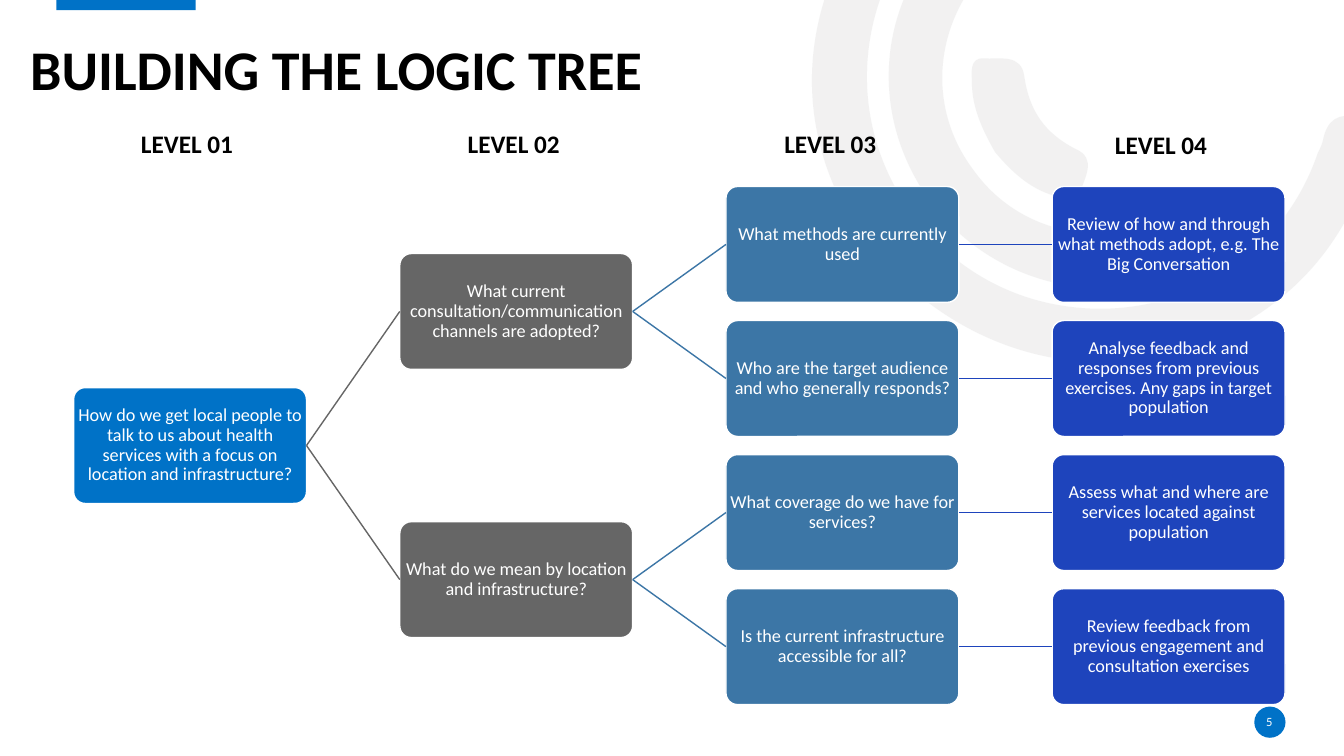
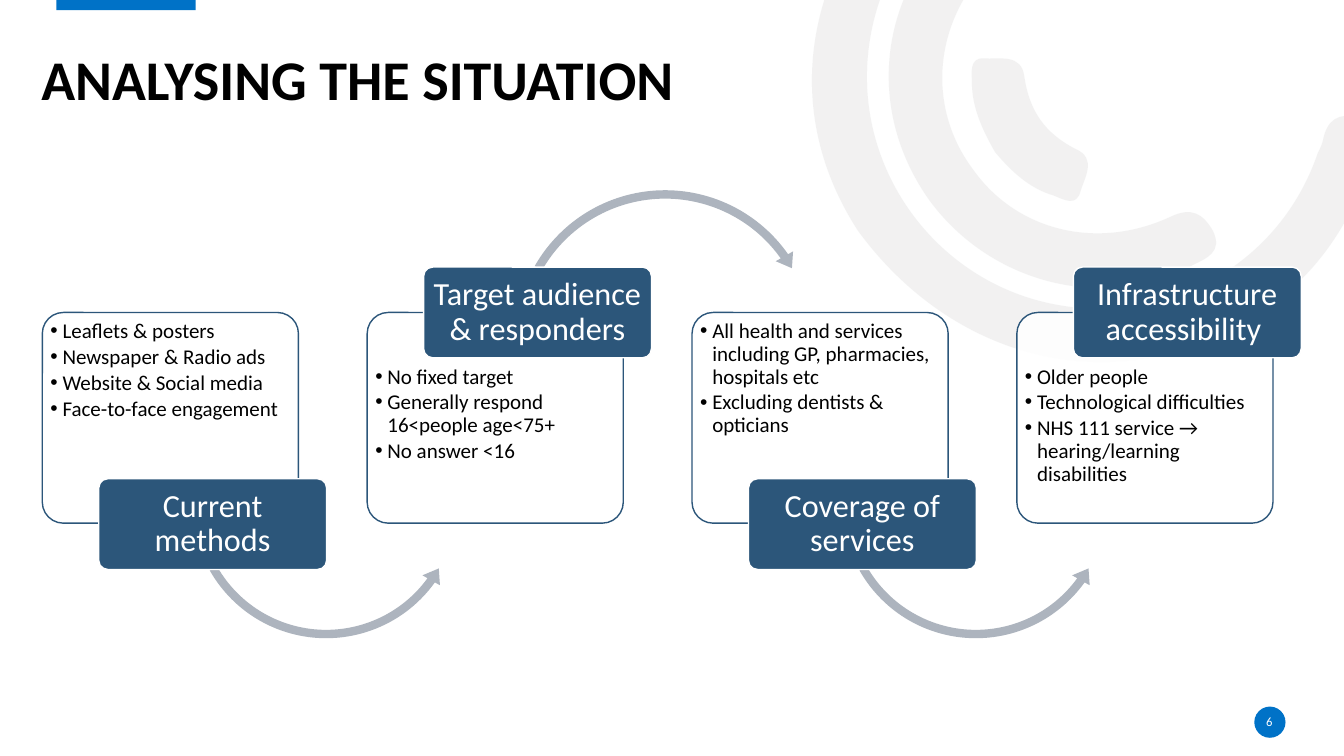
"""Build two slides: a four-level logic tree and a chain of situation cards."""
from dataclasses import dataclass

from lxml import etree
from pptx import Presentation
from pptx.dml.color import RGBColor
from pptx.enum.shapes import MSO_CONNECTOR, MSO_SHAPE
from pptx.enum.text import MSO_ANCHOR, MSO_AUTO_SIZE, PP_ALIGN
from pptx.oxml.ns import qn
from pptx.shapes.autoshape import Shape
from pptx.slide import Slide
from pptx.util import Pt

RECTANGLE, ROUNDED, OVAL = MSO_SHAPE.RECTANGLE, MSO_SHAPE.ROUNDED_RECTANGLE, MSO_SHAPE.OVAL
ARC_OVER, ARC_UNDER = MSO_SHAPE.CIRCULAR_ARROW, MSO_SHAPE.LEFT_CIRCULAR_ARROW
STRAIGHT = MSO_CONNECTOR.STRAIGHT
LEFT, CENTER = PP_ALIGN.LEFT, PP_ALIGN.CENTER
TOP, MIDDLE, BOTTOM = MSO_ANCHOR.TOP, MSO_ANCHOR.MIDDLE, MSO_ANCHOR.BOTTOM
NO_AUTOFIT = MSO_AUTO_SIZE.NONE

EMU_PER_PX = 9144
SLIDE_SIZE = (1333, 750)
FONT = "Calibri"
TITLE_ONLY, COMPARISON = 5, 4
LEFT_SITE, RIGHT_SITE = 1, 3
CORNER = 0.1
FIRST_BACKDROP_ID = 101

COLORS = {
    "white": "FFFFFF",
    "black": "000000",
    "accent": "0072C7",
    "swirl": "E7E6E6",
    "level 2": "666666",
    "level 3": "3C76A6",
    "level 4": "1E44BC",
    "navy": "2C567A",
    "arc": "ADB4BE",
}
LEVEL_COLORS = ("accent", "level 2", "level 3", "level 4")
LEVEL_LABELS = ((78, 122), (402, 122), (716, 122), (1044, 123))

TREE_LEFT, TREE_TOP = 73, 185
COLUMN_STEP, ROW_STEP = 323.5, 133
NODE_SIZE = (231, 115)

CARD_LEFT, CARD_TOP, CARD_STEP = 42, 310, 322.2
CARD_SIZE = (254, 209)
LIST_SIZE = (244, 155)
TAB_SIZE = (226, 90)

SWIRLS = (
    ((851, 229),
     ((799, 149), (787, 50), (838, -50)), ((890, -152), (976, -203), (1090, -207)),
     ((1105, -207), (1121, -210), (1131, -195)), ((1144, -175), (1127, -154), (1098, -154)),
     ((967, -154), (865, -59), (860, 68)), ((856, 181), (936, 281), (1046, 302)),
     ((1160, 324), (1270, 261), (1307, 152)), ((1309, 148), (1311, 144), (1312, 140)),
     ((1316, 119), (1327, 111), (1349, 117)), ((1373, 124), (1367, 141), (1361, 156)),
     ((1334, 245), (1278, 307), (1191, 341)), ((1070, 387), (936, 345), (851, 229))),
    ((922, 199),
     ((862, 115), (869, 7), (940, -68)), ((951, -79), (962, -95), (980, -78)),
     ((995, -64), (997, -50), (979, -32)), ((925, 26), (920, 108), (965, 168)),
     ((1008, 229), (1088, 249), (1161, 215)), ((1182, 205), (1193, 212), (1203, 229)),
     ((1213, 250), (1197, 256), (1183, 263)), ((1096, 310), (983, 282), (922, 199))),
    ((987, 151),
     ((975, 130), (964, 107), (964, 82)), ((964, 73), (961, 57), (976, 58)),
     ((992, 59), (1013, 53), (1016, 76)), ((1021, 110), (1036, 132), (1067, 148)),
     ((1088, 157), (1076, 176), (1072, 189)), ((1068, 206), (1055, 198), (1045, 194)),
     ((1021, 187), (1003, 170), (987, 151))),
)


@dataclass(frozen=True)
class TextStyle:
    """Look of all paragraphs in one box."""
    size: int
    color: str = "white"
    bold: bool = False
    align: PP_ALIGN = CENTER
    anchor: MSO_ANCHOR = MIDDLE
    spacing: float = 0.9
    after: float = 0
    insets: tuple[int, int] = (0, 0)


TITLE = TextStyle(40, "black", True, LEFT, BOTTOM)
LABEL = TextStyle(18, "black", True, anchor=TOP, spacing=1.0, insets=(10, 5))
NODE = TextStyle(13)
TAB = TextStyle(23, insets=(5, 3))
BULLETS = TextStyle(15, "black", align=LEFT, anchor=TOP, after=2.25, insets=(3, 3))
PAGE_NUMBER = TextStyle(9, spacing=1.0)


@dataclass(frozen=True)
class Question:
    """Node of the logic tree with the questions that follow from it."""
    text: str
    follow_ups: tuple["Question", ...] = ()

    @property
    def rows(self) -> int:
        """Number of tree rows the node spans."""
        return sum(child.rows for child in self.follow_ups) or 1


@dataclass(frozen=True)
class Arc:
    """Circular arrow leading from one card to the next."""
    preset: MSO_SHAPE
    offset: int
    top: int
    size: int
    adjustments: tuple[float, ...]


@dataclass(frozen=True)
class Card:
    """Topic card with its findings and an optional arrow to the next one."""
    topic: str
    findings: tuple[str, ...]
    tab_top: int
    list_top: int
    arc: Arc | None = None


UNDER = Arc(ARC_UNDER, 143, 362, 277, (0.03, 3.738, 21.494, 90.245, 0.036))
OVER = Arc(ARC_OVER, 141, 183, 309, (0.027, 3.321, 194.923, 125.755, 0.032))

TREE = Question(
    "How do we get local people to talk to us about health services with a focus on "
    "location and infrastructure?",
    (
        Question("What current consultation/communication channels are adopted?", (
            Question("What methods are currently used", (
                Question("Review of how and through what methods adopt, e.g. The Big Conversation"),)),
            Question("Who are the target audience and who generally responds?", (
                Question("Analyse feedback and responses from previous exercises. "
                         "Any gaps in target population"),)),
        )),
        Question("What do we mean by location and infrastructure?", (
            Question("What coverage do we have for services?", (
                Question("Assess what and where are services located against population"),)),
            Question("Is the current infrastructure accessible for all?", (
                Question("Review feedback from previous engagement and consultation exercises"),)),
        )),
    ),
)

CARDS = (
    Card("Current methods",
         ("Leaflets & posters", "Newspaper & Radio ads", "Website & Social media",
          "Face-to-face engagement"), 475, 315, UNDER),
    Card("Target audience & responders",
         ("No fixed target", "Generally respond 16<people age<75+", "No answer <16"),
         265, 360, OVER),
    Card("Coverage of services",
         ("All health and services including GP, pharmacies, hospitals etc",
          "Excluding dentists & opticians"), 475, 315, UNDER),
    Card("Infrastructure accessibility ",
         ("Older people", "Technological difficulties",
          "NHS 111 service → hearing/learning disabilities"), 265, 360),
)


def px(length: float) -> int:
    """Turn px into EMU."""
    return round(length * EMU_PER_PX)


def rgb(name: str) -> RGBColor:
    """Look up a colour by name."""
    return RGBColor.from_string(COLORS[name])


def place(shape: Shape, left: float, top: float, width: float, height: float) -> None:
    """Move and size a shape in px."""
    shape.left, shape.top, shape.width, shape.height = map(px, (left, top, width, height))


def write(shape: Shape, text: str, style: TextStyle) -> None:
    """Fill a shape with text, one paragraph a line."""
    frame = shape.text_frame
    frame.text = text
    frame.word_wrap = True
    frame.auto_size = NO_AUTOFIT
    frame.vertical_anchor = style.anchor
    frame.margin_left = frame.margin_right = px(style.insets[0])
    frame.margin_top = frame.margin_bottom = px(style.insets[1])
    for paragraph in frame.paragraphs:
        paragraph.alignment = style.align
        paragraph.line_spacing = style.spacing
        paragraph.space_before = Pt(0)
        paragraph.space_after = Pt(style.after)
        font = paragraph.font
        font.name, font.size, font.bold = FONT, Pt(style.size), style.bold
        font.color.rgb = rgb(style.color)


def paint(shape: Shape, fill: str, line: str | None = None, opacity: int = 100) -> None:
    """Set fill, outline and opacity in percent."""
    shape.shadow.inherit = False
    shape.fill.solid()
    shape.fill.fore_color.rgb = rgb(fill)
    if opacity < 100:
        color = next(shape.element.iter(qn("a:srgbClr")))
        etree.SubElement(color, qn("a:alpha")).set("val", str(opacity * 1000))
    if line:
        shape.line.color.rgb = rgb(line)
        shape.line.width = Pt(1)
    else:
        shape.line.fill.background()


def add_preset(slide: Slide, preset: MSO_SHAPE, box: tuple[float, float, float, float],
               fill: str, line: str | None = None, opacity: int = 100) -> Shape:
    """Add a painted preset shape."""
    shape = slide.shapes.add_shape(preset, *map(px, box))
    paint(shape, fill, line, opacity)
    if preset == ROUNDED:
        shape.adjustments[0] = CORNER
    return shape


def add_swirl(slide: Slide, start: tuple[int, int], *curves: tuple) -> Shape:
    """Draw a closed outline from a start point and the control points of cubic curves."""
    builder = slide.shapes.build_freeform(*map(px, start))
    builder.add_line_segments([(px(x), px(y)) for curve in curves for x, y in curve], close=True)
    swirl = builder.convert_to_shape()
    segments = list(swirl.element.iter(qn("a:lnTo")))
    for first, second, end in zip(*[iter(segments)] * 3):
        curve = etree.Element(qn("a:cubicBezTo"))
        first.addprevious(curve)
        for segment in (first, second, end):
            curve.append(segment[0])
            segment.getparent().remove(segment)
    paint(swirl, "swirl", opacity=53)
    return swirl


def add_backdrop(deck: Presentation, slide: Slide) -> None:
    """Draw the swirls, band and number badge and move them to the master."""
    backdrop = [add_swirl(slide, *swirl) for swirl in SWIRLS]
    backdrop.append(add_preset(slide, RECTANGLE, (56, 0, 138, 10), "accent"))
    backdrop.append(add_preset(slide, OVAL, (1244, 701, 31, 31), "accent"))
    for number, part in enumerate(backdrop, FIRST_BACKDROP_ID):
        next(part.element.iter(qn("p:cNvPr"))).set("id", str(number))
        deck.slide_master.shapes.element.append(part.element)


def add_base(deck: Presentation, layout: int, title: str, corner: tuple[int, int],
             number: int) -> Slide:
    """Add a slide with its title and page number."""
    slide = deck.slides.add_slide(deck.slide_layouts[layout])
    place(slide.shapes.title, *corner, 1219, 79)
    write(slide.shapes.title, title, TITLE)
    page = slide.shapes.add_textbox(*map(px, (1243, 706, 32, 20)))
    write(page, str(number), PAGE_NUMBER)
    return slide


def add_branch(slide: Slide, question: Question, level: int = 0, row: int = 0) -> Shape:
    """Draw a question, its follow-ups and the lines between them."""
    left = TREE_LEFT + COLUMN_STEP * level
    top = TREE_TOP + ROW_STEP * (row + (question.rows - 1) / 2)
    node = add_preset(slide, ROUNDED, (left, top, *NODE_SIZE), LEVEL_COLORS[level], "white")
    write(node, question.text, NODE)
    for follow_up in question.follow_ups:
        child = add_branch(slide, follow_up, level + 1, row)
        row += follow_up.rows
        link = slide.shapes.add_connector(STRAIGHT, 0, 0, 0, 0)
        link.begin_connect(node, RIGHT_SITE)
        link.end_connect(child, LEFT_SITE)
        link.line.color.rgb = rgb(LEVEL_COLORS[level + 1])
        link.line.width = Pt(1)
        etree.SubElement(link.element.find(qn("p:spPr")), qn("a:effectLst"))
    return node


def add_card(slide: Slide, card: Card, left: float, findings: Shape) -> None:
    """Draw a card with its list, arrow and topic tab."""
    add_preset(slide, ROUNDED, (left, CARD_TOP, *CARD_SIZE), "white", "navy", 90)
    slide.shapes.element.append(findings.element)
    place(findings, left + 5, card.list_top, *LIST_SIZE)
    write(findings, "\n".join(card.findings), BULLETS)
    for paragraph in findings.element.iter(qn("a:p")):
        properties = paragraph.get_or_add_pPr()
        properties.set("marL", str(px(12)))
        properties.set("indent", str(px(-12)))
        properties.find(qn("a:defRPr")).addprevious(etree.Element(qn("a:buChar"), char="•"))
    if card.arc:
        arc = card.arc
        arrow = add_preset(slide, arc.preset, (left + arc.offset, arc.top, arc.size, arc.size), "arc")
        for index, value in enumerate(arc.adjustments):
            arrow.adjustments[index] = value
    tab = add_preset(slide, ROUNDED, (left + 56, card.tab_top, *TAB_SIZE), "navy", "white")
    write(tab, card.topic, TAB)


def main() -> None:
    """Build and save the deck."""
    deck = Presentation()
    deck.slide_width, deck.slide_height = map(px, SLIDE_SIZE)
    tree = add_base(deck, TITLE_ONLY, "BUILDING THE LOGIC TREE", (30, 23), 5)
    add_backdrop(deck, tree)
    add_branch(tree, TREE)
    for level, (left, top) in enumerate(LEVEL_LABELS, 1):
        label = tree.shapes.add_textbox(*map(px, (left, top, 215, 40)))
        write(label, f"LEVEL {level:02}", LABEL)
    situation = add_base(deck, COMPARISON, "ANALYSING THE SITUATION", (41, 33), 6)
    bodies = [body for body in situation.placeholders if body.placeholder_format.idx]
    for index, (card, body) in enumerate(zip(CARDS, bodies)):
        add_card(situation, card, CARD_LEFT + CARD_STEP * index, body)
    deck.save("out.pptx")


if __name__ == "__main__":
    main()
